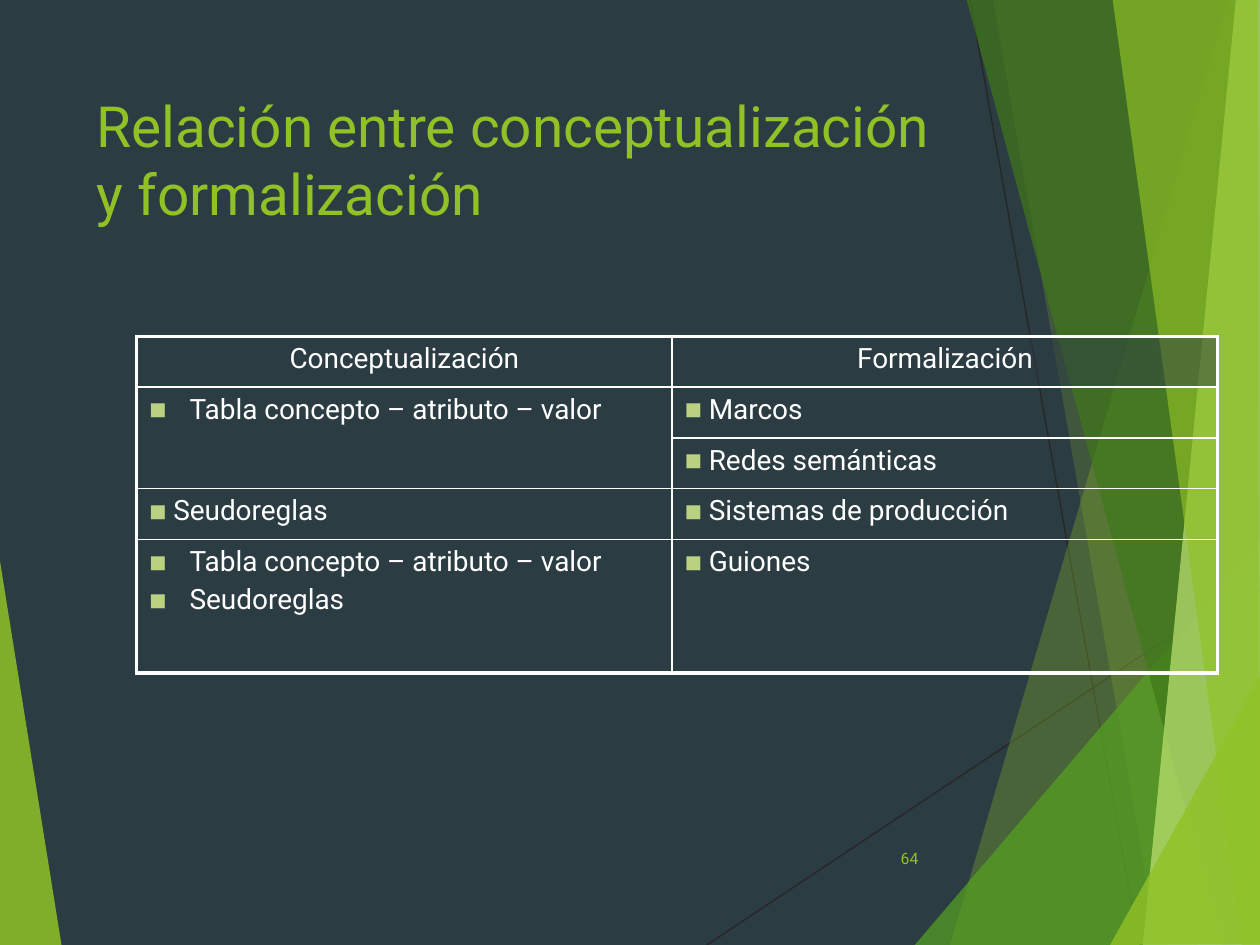
from dataclasses import dataclass
from lxml.etree import SubElement
from pptx import Presentation
from pptx.dml.color import RGBColor as Color
from pptx.enum.shapes import MSO_CONNECTOR as Connector
from pptx.enum.text import MSO_ANCHOR as Anchor, PP_ALIGN as Align
from pptx.oxml import parse_xml
from pptx.oxml.ns import nsdecls, qn
from pptx.util import Inches, Pt


@dataclass(frozen=True)
class Theme:
    font: str = "Roboto"
    back: str = "2C3C43"
    accent: str = "90C226"
    green: str = "54A021"
    dark: str = "3F7819"
    pale: str = "C0E474"
    bullet: str = "B9D181"
    ink: str = "FFFFFF"
    thread: str = "262626"
    title_size: float = 32.4
    table_size: float = 16
    number_size: float = 9
    bullet_share: int = 65
    outer: float = 2.25
    inner: float = 1


theme = Theme()
deck = Presentation()
deck.slide_width, deck.slide_height = Inches(10), Inches(7.5)
COL, ROW = deck.slide_width / 100, deck.slide_height / 75
page = deck.slides.add_slide(deck.slide_layouts[6])
page.background.fill.solid()
page.background.fill.fore_color.rgb = Color.from_string(theme.back)


def write(para, text, size, color):
    span = para.add_run()
    span.text = text
    span.font.name = theme.font
    span.font.size = Pt(size)
    span.font.color.rgb = Color.from_string(color)


def paint(fill, holder, color, percent):
    fill.solid()
    fill.fore_color.rgb = Color.from_string(color)
    tint = holder.find(qn("a:solidFill")).find(qn("a:srgbClr"))
    SubElement(tint, qn("a:alpha")).set("val", str(percent * 1000))


for x1, y1, x2, y2 in [(56.1, 75, 100.1, 45.7), (77, 0, 90.4, 75)]:
    thread = page.shapes.add_connector(
        Connector.STRAIGHT, round(x1 * COL), round(y1 * ROW), round(x2 * COL), round(y2 * ROW)
    )
    thread.line.color.rgb = Color.from_string(theme.thread)
    thread.line.width = Pt(0.75)
    SubElement(thread.element.spPr, qn("a:effectLst"))

facets = [
    (theme.accent, 85, [(-0.1, 43.9), (4.9, 75.1), (-0.1, 75)]),
    (theme.accent, 30, [(97.5, 0), (75.4, 75), (100.2, 75.1), (100.1, 0.1)]),
    (theme.accent, 20, [(78.8, -0.1), (91.9, 75), (100.1, 75), (100.1, -0.1)]),
    (theme.green, 72, [(72.6, 75), (100, 42.9), (100.1, 75)]),
    (theme.dark, 70, [(76.7, -0.1), (97, 75), (100.1, 74.9), (100.1, -0.1)]),
    (theme.pale, 70, [(98.1, -0.1), (90.7, 75), (100.1, 75), (100, -0.1)]),
    (theme.accent, 65, [(88.3, -0.1), (98.6, 75), (100, 75), (99.8, -0.1)]),
    (theme.accent, 80, [(88.1, 75), (100.1, 53.5), (100.1, 74.9)]),
]
for color, percent, corners in facets:
    points = [(round(x * COL), round(y * ROW)) for x, y in corners]
    outline = page.shapes.build_freeform(*points[0], scale=1.0)
    outline.add_line_segments(points[1:], close=True)
    facet = outline.convert_to_shape()
    facet.shadow.inherit = False
    paint(facet.fill, facet.element.spPr, color, percent)
    facet.line.fill.background()

labels = [
    ("Relación entre conceptualización y formalización", theme.title_size, Anchor.TOP, (6.7, 6.7, 69.4, 14.4)),
    ("64", theme.number_size, Anchor.MIDDLE, (70.5, 66.1, 5.6, 4)),
]
for text, size, anchor, (x, y, width, height) in labels:
    box = page.shapes.add_textbox(round(x * COL), round(y * ROW), round(width * COL), round(height * ROW))
    box.text_frame.word_wrap = True
    box.text_frame.vertical_anchor = anchor
    write(box.text_frame.paragraphs[0], text, size, theme.accent)

WIDE, NARROW = 3.2, 1.9
rows = [
    [(["Conceptualización"], 0), (["Formalización"], 0)],
    [(["Tabla concepto – atributo – valor"], WIDE), (["Marcos"], NARROW)],
    [([], 0), (["Redes semánticas"], NARROW)],
    [(["Seudoreglas"], NARROW), (["Sistemas de producción"], NARROW)],
    [(["Tabla concepto – atributo – valor", "Seudoreglas"], WIDE), (["Guiones"], NARROW)],
]
widths, heights = [42.5, 43.3], [4.03, 4.03, 4.03, 4.03, 10.6]
frame = page.shapes.add_table(
    len(rows), len(widths), round(10.85 * COL), round(26.7 * ROW),
    round(sum(widths) * COL), round(sum(heights) * ROW),
)
table = frame.table
table.first_row = table.horz_banding = False
for column, width in zip(table.columns, widths):
    column.width = round(width * COL)
for line, height in zip(table.rows, heights):
    line.height = round(height * ROW)
table.cell(1, 0).merge(table.cell(2, 0))

nodes = list(frame.element.iter(qn("a:tc")))
for r, line in enumerate(rows):
    for c, (texts, indent) in enumerate(line):
        cell = table.cell(r, c)
        props = nodes[r * len(widths) + c].get_or_add_tcPr()
        if r == 0:
            paint(cell.fill, props, theme.back, 50)
        else:
            cell.fill.background()
        edges = [("L", c == 0), ("R", c == len(widths) - 1), ("T", r == 0), ("B", r == len(rows) - 1)]
        for place, (side, outside) in enumerate(edges):
            weight = Pt(theme.outer if outside else theme.inner)
            props.insert(place, parse_xml(
                f'<a:ln{side} {nsdecls("a")} w="{weight}"><a:solidFill>'
                f'<a:srgbClr val="{theme.ink}"/></a:solidFill></a:ln{side}>'
            ))
        for number, text in enumerate(texts):
            para = cell.text_frame.add_paragraph() if number else cell.text_frame.paragraphs[0]
            if number:
                para.space_before = Pt(theme.table_size / 5)
            if indent:
                layout = para._p.get_or_add_pPr()
                layout.set("marL", str(round(indent * COL)))
                layout.set("indent", str(round(-indent * COL)))
                tint = SubElement(layout, qn("a:buClr"))
                SubElement(tint, qn("a:srgbClr")).set("val", theme.bullet)
                SubElement(layout, qn("a:buSzPct")).set("val", str(theme.bullet_share * 1000))
                SubElement(layout, qn("a:buFont")).set("typeface", theme.font)
                SubElement(layout, qn("a:buChar")).set("char", "■")
            else:
                para.alignment = Align.CENTER
            write(para, text, theme.table_size, theme.ink)

deck.save("out.pptx")
